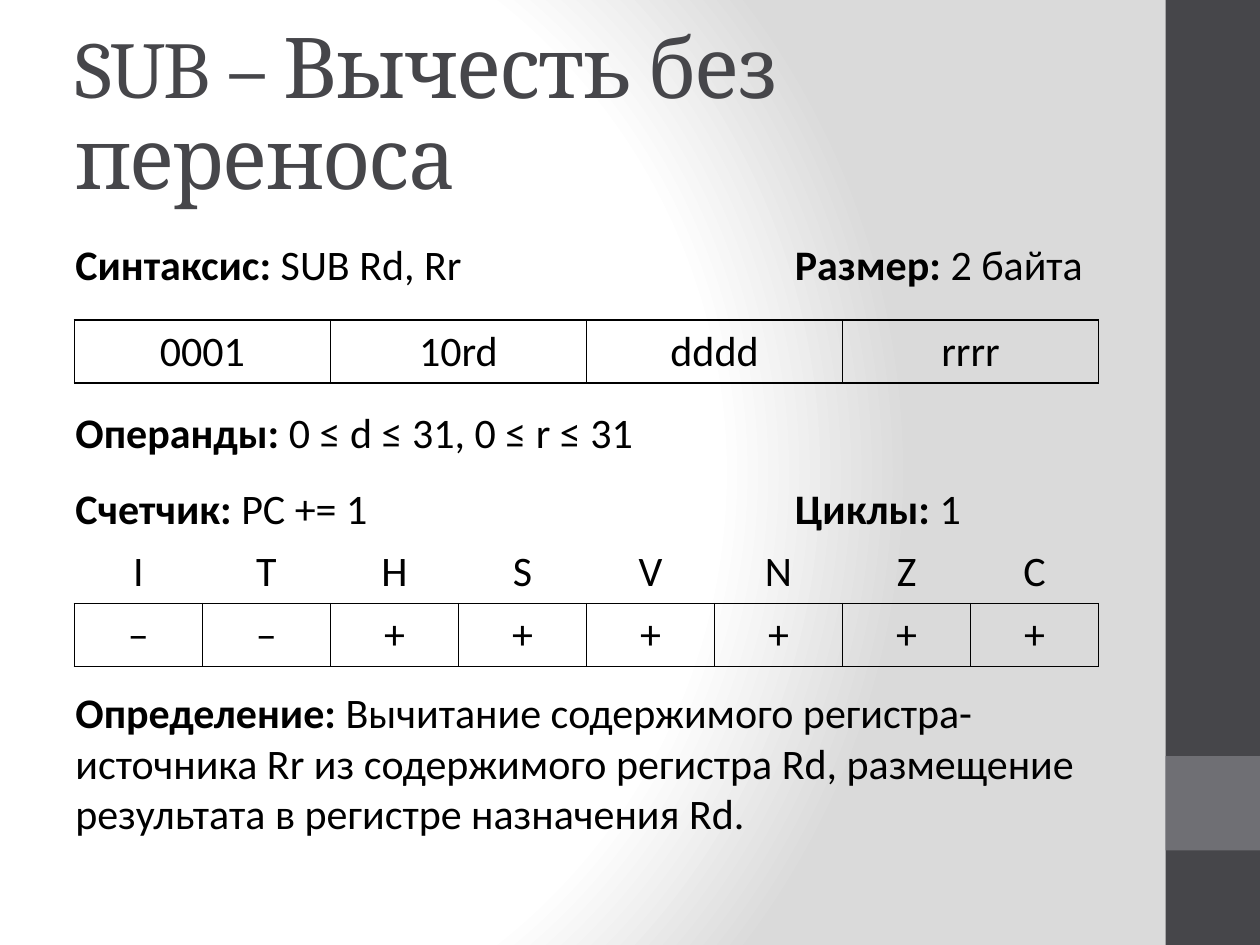
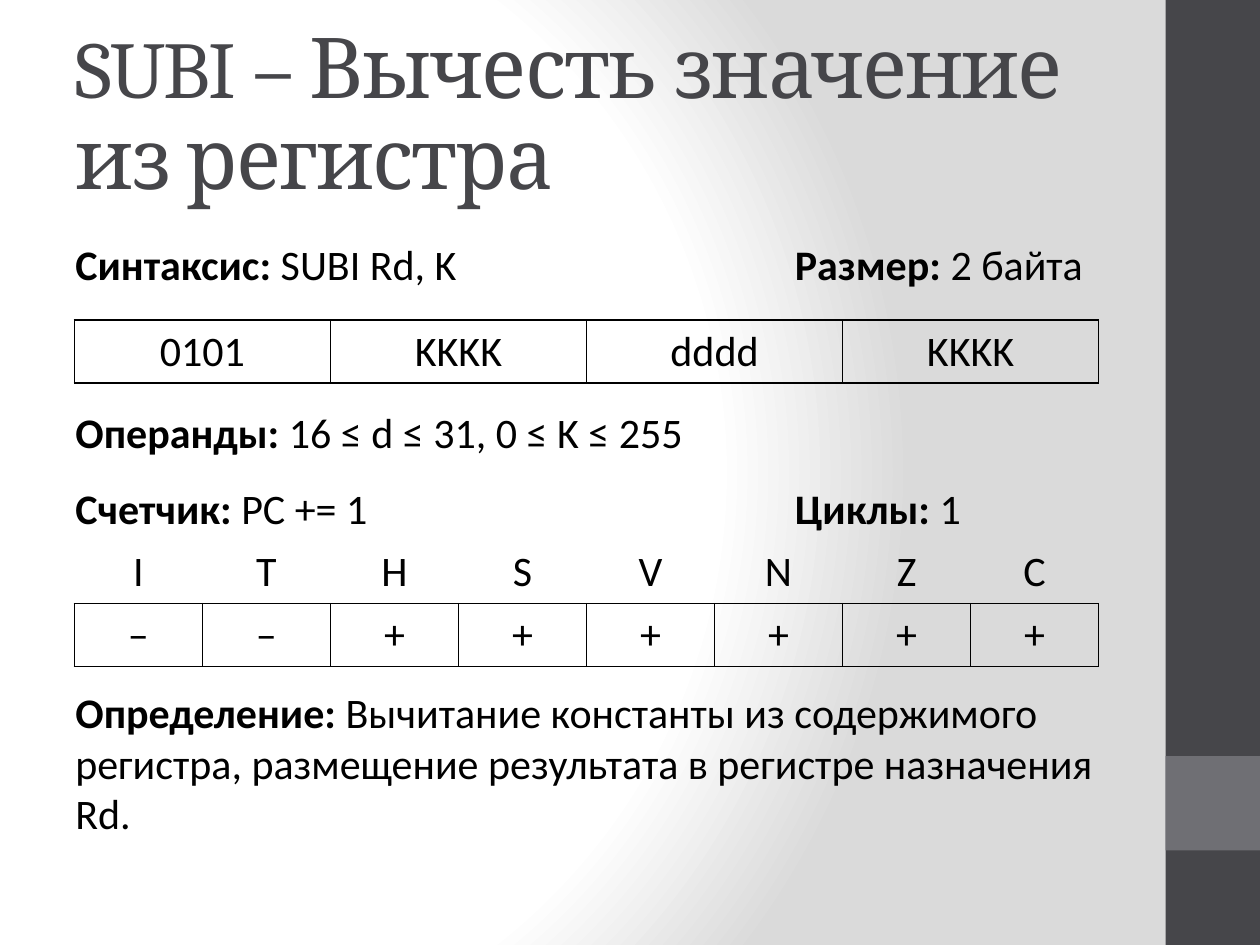
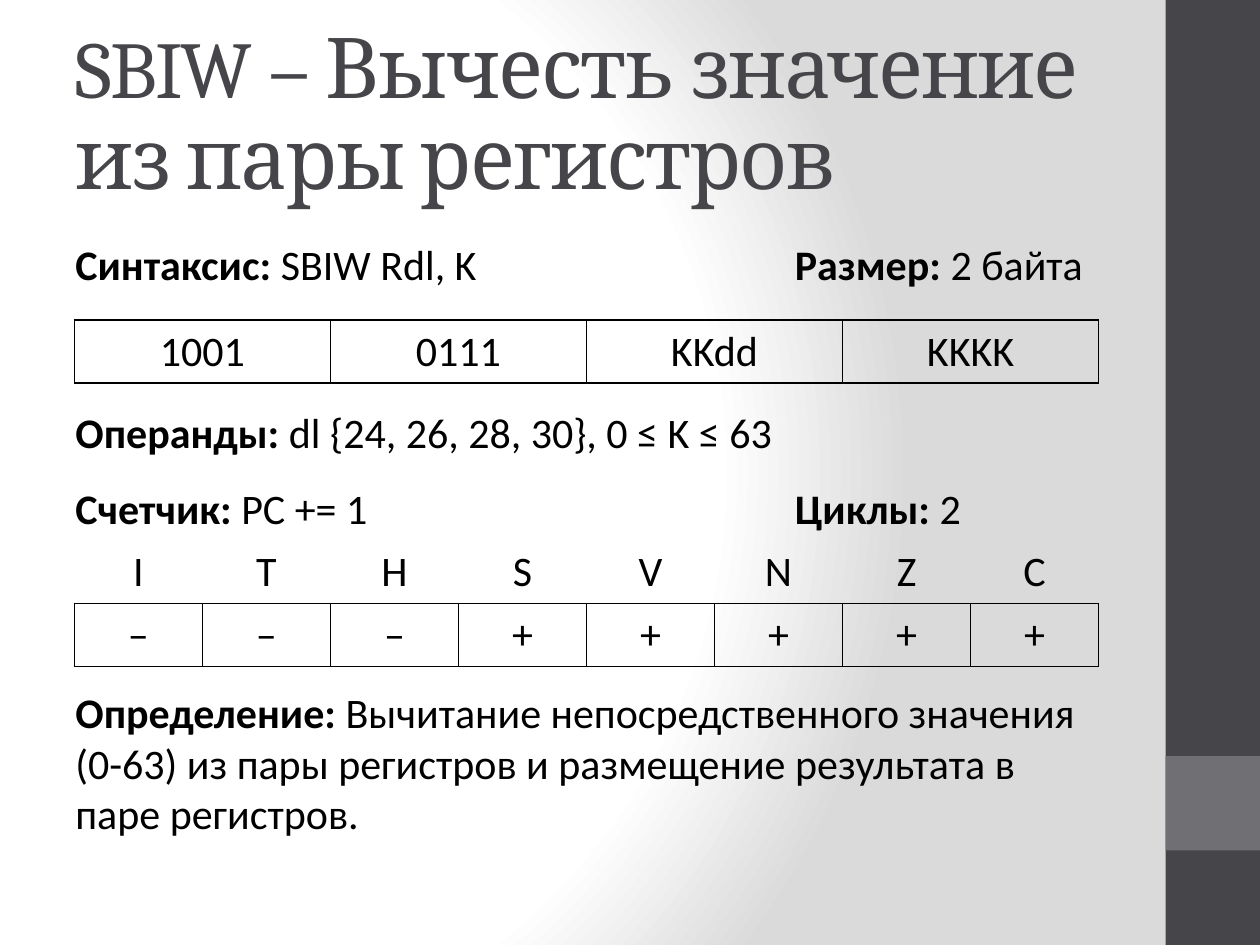
"""Build three reference slides for subtraction instructions."""

from dataclasses import dataclass

from lxml import etree
from pptx import Presentation
from pptx.dml.color import RGBColor
from pptx.enum.shapes import MSO_SHAPE
from pptx.enum.text import MSO_ANCHOR, MSO_AUTO_SIZE, PP_ALIGN
from pptx.oxml import parse_xml
from pptx.oxml.ns import qn
from pptx.presentation import Presentation as Deck
from pptx.slide import Slide
from pptx.table import _Cell
from pptx.text.text import _Paragraph
from pptx.util import Inches, Pt

RECTANGLE = MSO_SHAPE.RECTANGLE
MIDDLE = MSO_ANCHOR.MIDDLE
GROW_TO_TEXT = MSO_AUTO_SIZE.SHAPE_TO_FIT_TEXT
NO_AUTOFIT = MSO_AUTO_SIZE.NONE
LEFT, CENTER = PP_ALIGN.LEFT, PP_ALIGN.CENTER

TITLE_ONLY_LAYOUT = 5
PLAIN_TABLE_STYLE = "{2D5ABB26-0587-4C30-8999-92F81FD0307C}"
DRAWING_NAMESPACE = "http://schemas.openxmlformats.org/drawingml/2006/main"
ALL_SIDES = ("L", "R", "T", "B")
FLAG_NAMES = "ITHSVNZC"

LEFT_EDGE = 0.5
RIGHT_COLUMN = 6.21
FULL_WIDTH = 8.33
TABLE_LEFT = 0.59
TABLE_WIDTH = 8.13
ROW_HEIGHT = 0.5


@dataclass(frozen=True)
class Theme:
    """Colours, fonts and type sizes of the deck."""

    dark: str = "46464A"
    accent: str = "6F6F74"
    text: str = "000000"
    light: str = "FFFFFF"
    shade: str = "DADADA"
    title_font: str = "Cambria"
    body_font: str = "Calibri"
    mnemonic_size: int = 46
    title_size: int = 48
    body_size: int = 24
    title_spacing: int = -100
    title_line_spacing: float = 0.9
    border_width: int = 1


@dataclass(frozen=True)
class Band:
    """A filled part of the strip on the right."""

    top: float
    height: float
    color: str


@dataclass(frozen=True)
class Field:
    """A bold label followed by its value."""

    label: str
    value: str
    left: float
    top: float
    width: float
    height: float = 0.5
    wrap: bool = False


@dataclass(frozen=True)
class Instruction:
    """The content of one instruction slide."""

    mnemonic: str
    name: str
    arguments: str
    syntax_width: float
    opcode: tuple[str, ...]
    operands: str
    cycles: str
    flags: str
    definition: str


THEME = Theme()

BANDS = (Band(0, 7.5, THEME.dark), Band(6, 0.75, THEME.accent))

INSTRUCTIONS = (
    Instruction(
        "SUB", "Вычесть без переноса", "Rd, Rr", 3.3,
        ("0001", "10rd", "dddd", "rrrr"),
        "0 ≤ d ≤ 31, 0 ≤ r ≤ 31", "1", "––++++++",
        "Вычитание содержимого регистра-источника Rr из содержимого "
        "регистра Rd, размещение результата в регистре назначения Rd.",
    ),
    Instruction(
        "SUBI", "Вычесть значение из регистра", "Rd, K", 3.26,
        ("0101", "KKKK", "dddd", "KKKK"),
        "16 ≤ d ≤ 31, 0 ≤ K ≤ 255", "1", "––++++++",
        "Вычитание константы из содержимого регистра, размещение "
        "результата в регистре назначения Rd.",
    ),
    Instruction(
        "SBIW", "Вычесть значение из пары регистров", "Rdl, K", 3.42,
        ("1001", "0111", "KKdd", "KKKK"),
        "dl {24, 26, 28, 30}, 0 ≤ K ≤ 63", "2", "–––+++++",
        "Вычитание непосредственного значения (0-63) из пары регистров "
        "и размещение результата в паре регистров.",
    ),
)


def add_styled_run(paragraph: _Paragraph, text: str, font_name: str,
                   size: int, color: str, bold: bool = False) -> None:
    """Append a formatted run to a paragraph."""
    run = paragraph.add_run()
    run.text = text
    run.font.name = font_name
    run.font.size = Pt(size)
    run.font.bold = bold
    run.font.color.rgb = RGBColor.from_string(color)


def set_background(presentation: Deck) -> None:
    """Give the master a circular gradient background."""
    master = presentation.slide_master
    master.background.fill.gradient()
    stops = "".join(
        f'<a:gs pos="{position * 1000}"><a:srgbClr val="{color}"/></a:gs>'
        for position, color in ((0, THEME.light), (75, THEME.light), (100, THEME.shade))
    )
    gradient = parse_xml(
        f'<a:gradFill xmlns:a="{DRAWING_NAMESPACE}" rotWithShape="1">'
        f'<a:gsLst>{stops}</a:gsLst><a:path path="circle">'
        '<a:fillToRect l="20000" t="50000" r="100000" b="50000"/>'
        '</a:path></a:gradFill>'
    )
    default_gradient = master.element.find(f".//{qn('p:bg')}//{qn('a:gradFill')}")
    default_gradient.getparent().replace(default_gradient, gradient)


def place_master_title(presentation: Deck) -> None:
    """Set the shared place and anchor of the titles."""
    title = presentation.slide_master.placeholders[0]
    title.left, title.top = Inches(LEFT_EDGE), Inches(0.3)
    title.width, title.height = Inches(FULL_WIDTH), Inches(1.25)
    title.text_frame.vertical_anchor = MIDDLE
    title.text_frame.auto_size = NO_AUTOFIT


def move_bands_to_master(presentation: Deck, slide: Slide) -> None:
    """Draw the bands and hand them to the master, behind its placeholders."""
    master_shapes = presentation.slide_master.shapes
    first_id = max(shape.shape_id for shape in master_shapes) + 1
    for index, band in enumerate(BANDS):
        shape = slide.shapes.add_shape(
            RECTANGLE, Inches(9.25), Inches(band.top), Inches(0.75), Inches(band.height)
        )
        shape.shadow.inherit = False
        shape.fill.solid()
        shape.fill.fore_color.rgb = RGBColor.from_string(band.color)
        shape.line.fill.background()
        shape.element.nvSpPr.cNvPr.set("id", str(first_id + index))
        master_shapes.element.insert(2 + index, shape.element)


def fill_title(slide: Slide, instruction: Instruction) -> None:
    """Write the mnemonic and the name into the title."""
    paragraph = slide.shapes.title.text_frame.paragraphs[0]
    paragraph.alignment = LEFT
    paragraph.line_spacing = THEME.title_line_spacing
    for text, size in (
        (f"{instruction.mnemonic} ", THEME.mnemonic_size),
        (f"– {instruction.name}", THEME.title_size),
    ):
        add_styled_run(paragraph, text, THEME.title_font, size, THEME.dark)
    for run in paragraph.runs:
        run.font._element.set("spc", str(THEME.title_spacing))


def add_field(slide: Slide, field: Field) -> None:
    """Add a text box with a bold label and a plain value."""
    box = slide.shapes.add_textbox(
        Inches(field.left), Inches(field.top), Inches(field.width), Inches(field.height)
    )
    box.text_frame.word_wrap = field.wrap
    box.text_frame.auto_size = GROW_TO_TEXT
    paragraph = box.text_frame.paragraphs[0]
    for text, bold in ((f"{field.label}: ", True), (field.value, False)):
        add_styled_run(paragraph, text, THEME.body_font, THEME.body_size, THEME.text, bold)


def set_borders(cell: _Cell, sides: tuple[str, ...]) -> None:
    """Draw solid borders on the given sides of a cell."""
    properties = cell._tc.get_or_add_tcPr()
    for side in sides:
        line = etree.SubElement(properties, qn(f"a:ln{side}"), w=str(Pt(THEME.border_width)))
        fill = etree.SubElement(line, qn("a:solidFill"))
        etree.SubElement(fill, qn("a:srgbClr"), val=THEME.text)


def add_grid(slide: Slide, top: float, rows: tuple[tuple[str, ...], ...]) -> None:
    """Add a table whose last row is boxed and whose header row is open."""
    frame = slide.shapes.add_table(
        len(rows), len(rows[0]), Inches(TABLE_LEFT), Inches(top),
        Inches(TABLE_WIDTH), Inches(ROW_HEIGHT * len(rows)),
    )
    table = frame.table
    table.first_row = False
    table.horz_banding = False
    table._tbl.tblPr.find(qn("a:tableStyleId")).text = PLAIN_TABLE_STYLE
    for row_index, row in enumerate(rows):
        sides = ALL_SIDES if row_index == len(rows) - 1 else ("B",)
        for column_index, text in enumerate(row):
            cell = table.cell(row_index, column_index)
            set_borders(cell, sides)
            cell.fill.background()
            paragraph = cell.text_frame.paragraphs[0]
            paragraph.alignment = CENTER
            add_styled_run(paragraph, text, THEME.body_font, THEME.body_size, THEME.text)


def fill_slide(slide: Slide, instruction: Instruction) -> None:
    """Draw everything that describes one instruction."""
    fill_title(slide, instruction)
    syntax = f"{instruction.mnemonic} {instruction.arguments}"
    for field in (
        Field("Определение", instruction.definition, LEFT_EDGE, 5.4, FULL_WIDTH, 1.31, True),
        Field("Синтаксис", syntax, LEFT_EDGE, 1.84, instruction.syntax_width),
        Field("Размер", "2 байта", RIGHT_COLUMN, 1.84, 2.51),
        Field("Счетчик", "PC += 1", LEFT_EDGE, 3.78, 2.62),
        Field("Операнды", instruction.operands, LEFT_EDGE, 3.18, FULL_WIDTH, wrap=True),
        Field("Циклы", instruction.cycles, RIGHT_COLUMN, 3.78, 1.53),
    ):
        add_field(slide, field)
    add_grid(slide, 2.54, (instruction.opcode,))
    add_grid(slide, 4.29, (tuple(FLAG_NAMES), tuple(instruction.flags)))


def main() -> None:
    """Build and save the presentation."""
    presentation = Presentation()
    presentation.slide_width = Inches(10)
    presentation.slide_height = Inches(7.5)
    set_background(presentation)
    place_master_title(presentation)
    layout = presentation.slide_layouts[TITLE_ONLY_LAYOUT]
    slides = [presentation.slides.add_slide(layout) for _ in INSTRUCTIONS]
    move_bands_to_master(presentation, slides[0])
    for slide, instruction in zip(slides, INSTRUCTIONS):
        fill_slide(slide, instruction)
    presentation.save("out.pptx")


main()
